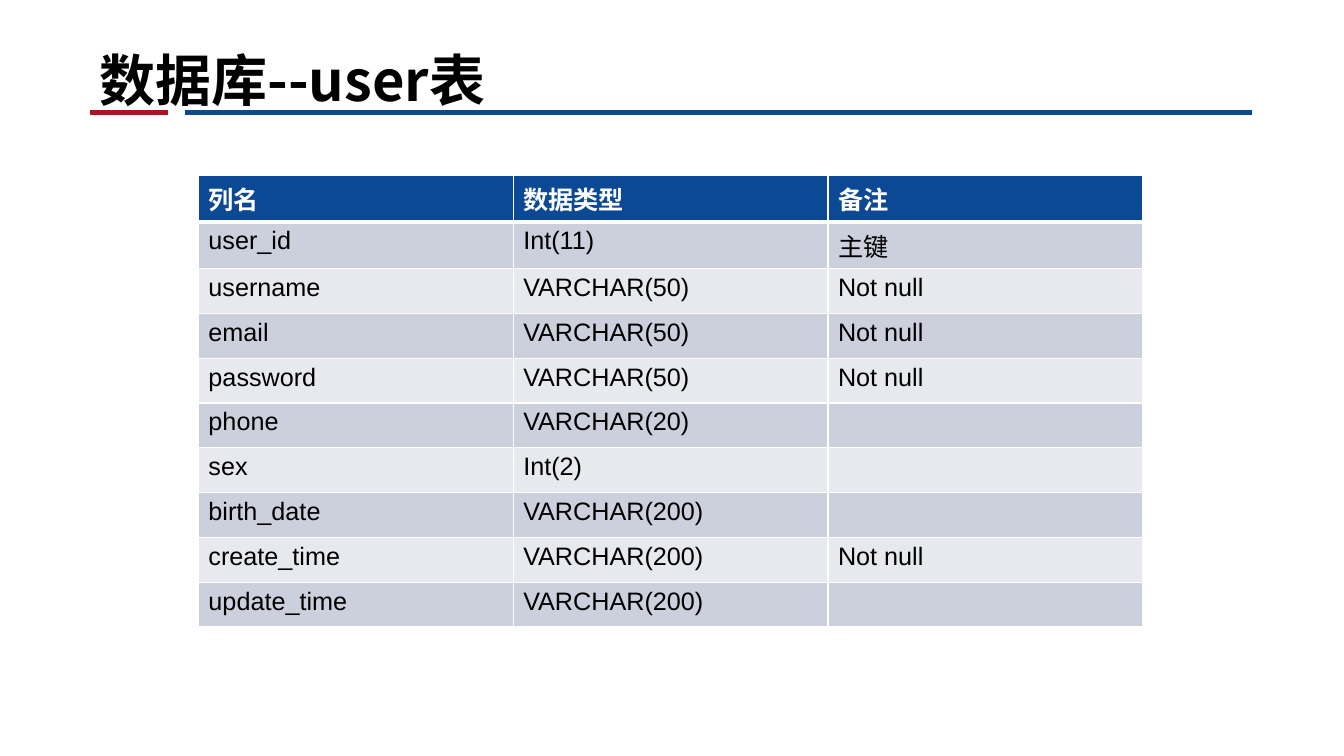
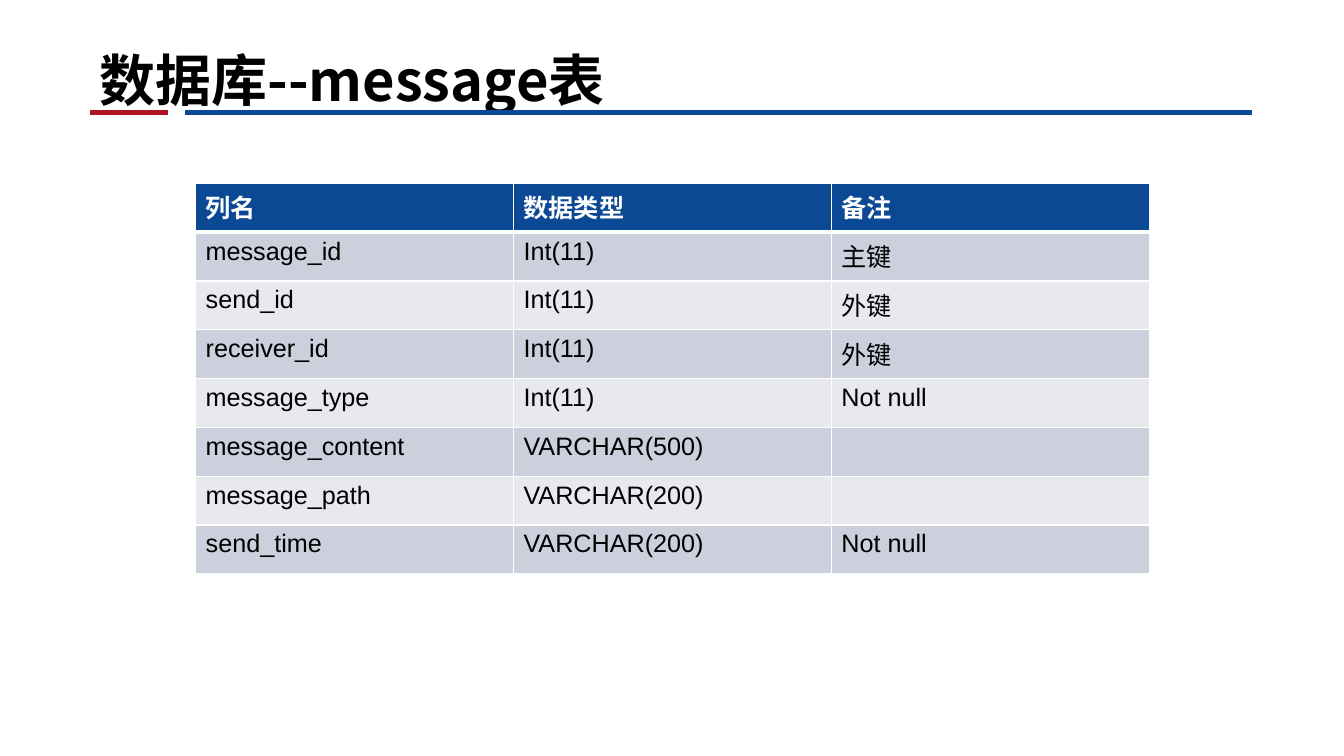
from dataclasses import dataclass

from lxml import etree
from pptx import Presentation
from pptx.dml.color import RGBColor
from pptx.enum import shapes, text
from pptx.oxml import ns
from pptx.util import Cm, Pt

RED, BLUE, WHITE, BLACK = "AE1324", "0C4994", "FFFFFF", "000000"
BANDS = ("CCD0DC", "E7E9EE")
BODY_FONT, CJK_FONT = "Arial", "Noto Sans CJK SC"
MARGIN_LEFT, MARGIN_RIGHT, RULE_Y = 2.26, 31.55, 2.84
HEADER = ("列名", "数据类型", "备注")


@dataclass(frozen=True)
class Rule:
    start: float
    end: float
    color: str


@dataclass(frozen=True)
class TableSlide:
    title: str
    left: float
    top: float
    width: float
    row_height: float
    fields: tuple[tuple[str, str, str], ...]


TITLE_RULES = (Rule(MARGIN_LEFT, 4.24, RED), Rule(4.67, MARGIN_RIGHT, BLUE))

TABLE_SLIDES = (
    TableSlide("数据库--user表", 5.0, 4.42, 23.8, 1.13, (
        ("user_id", "Int(11)", "主键"),
        ("username", "VARCHAR(50)", "Not null"),
        ("email", "VARCHAR(50)", "Not null"),
        ("password", "VARCHAR(50)", "Not null"),
        ("phone", "VARCHAR(20)", ""),
        ("sex", "Int(2)", ""),
        ("birth_date", "VARCHAR(200)", ""),
        ("create_time", "VARCHAR(200)", "Not null"),
        ("update_time", "VARCHAR(200)", ""),
    )),
    TableSlide("数据库--message表", 4.93, 4.62, 24.03, 1.23, (
        ("message_id", "Int(11)", "主键"),
        ("send_id", "Int(11)", "外键"),
        ("receiver_id", "Int(11)", "外键"),
        ("message_type", "Int(11)", "Not null"),
        ("message_content", "VARCHAR(500)", ""),
        ("message_path", "VARCHAR(200)", ""),
        ("send_time", "VARCHAR(200)", "Not null"),
    )),
)


def rgb(color: str) -> RGBColor:
    return RGBColor.from_string(color)


def format_runs(paragraph, font: str, size: float, color: str, bold: bool) -> None:
    for run in paragraph.runs:
        run.font.name = font
        run.font.size = Pt(size)
        run.font.bold = bold
        run.font.color.rgb = rgb(color)
        east_asian = etree.SubElement(run.font._element, ns.qn("a:ea"))
        east_asian.set("typeface", CJK_FONT)


def set_borders(cell, top: float, bottom: float) -> None:
    # Border lines come before the fill in the cell properties
    properties = cell._tc.get_or_add_tcPr()
    widths = {"lnL": 1, "lnR": 1, "lnT": top, "lnB": bottom}
    for position, (edge, width) in enumerate(widths.items()):
        line = etree.Element(ns.qn(f"a:{edge}"), w=str(Pt(width)))
        fill = etree.SubElement(line, ns.qn("a:solidFill"))
        etree.SubElement(fill, ns.qn("a:srgbClr"), val=WHITE)
        properties.insert(position, line)


def draw_title(slide, wording: str) -> None:
    title = slide.shapes.title
    title.left, title.top = Cm(MARGIN_LEFT), Cm(0)
    title.width, title.height = Cm(MARGIN_RIGHT - MARGIN_LEFT), Cm(RULE_Y)
    frame = title.text_frame
    frame.text = wording
    frame.word_wrap = True
    frame.auto_size = text.MSO_AUTO_SIZE.NONE
    frame.vertical_anchor = text.MSO_ANCHOR.BOTTOM
    frame.margin_bottom = Cm(0)
    heading = frame.paragraphs[0]
    heading.alignment = text.PP_ALIGN.LEFT
    format_runs(heading, CJK_FONT, 40, BLACK, True)


def draw_rule(slide, rule: Rule) -> None:
    line = slide.shapes.add_connector(
        shapes.MSO_CONNECTOR.STRAIGHT,
        Cm(rule.start), Cm(RULE_Y), Cm(rule.end), Cm(RULE_Y))
    line.line.color.rgb = rgb(rule.color)
    line.line.width = Pt(3.5)
    etree.SubElement(line._element.spPr, ns.qn("a:effectLst"))


def draw_fields(slide, content: TableSlide) -> None:
    rows = (HEADER, *content.fields)
    table = slide.shapes.add_table(
        len(rows), len(HEADER), Cm(content.left), Cm(content.top),
        Cm(content.width), Cm(content.row_height * len(rows))).table
    table.horz_banding = False
    for row_index, row in enumerate(rows):
        is_header = row_index == 0
        for column_index, wording in enumerate(row):
            cell = table.cell(row_index, column_index)
            cell.text = wording
            cell.fill.solid()
            cell.fill.fore_color.rgb = rgb(BLUE if is_header else BANDS[(row_index - 1) % 2])
            set_borders(cell, top=3 if row_index == 1 else 1, bottom=3 if is_header else 1)
            format_runs(cell.text_frame.paragraphs[0], BODY_FONT, 18,
                        WHITE if is_header else BLACK, is_header)


def main() -> None:
    deck = Presentation()
    deck.slide_width, deck.slide_height = Cm(33.87), Cm(19.05)
    title_only = deck.slide_layouts[5]
    for content in TABLE_SLIDES:
        slide = deck.slides.add_slide(title_only)
        for rule in TITLE_RULES:
            draw_rule(slide, rule)
        draw_title(slide, content.title)
        draw_fields(slide, content)
    deck.save("out.pptx")


if __name__ == "__main__":
    main()
